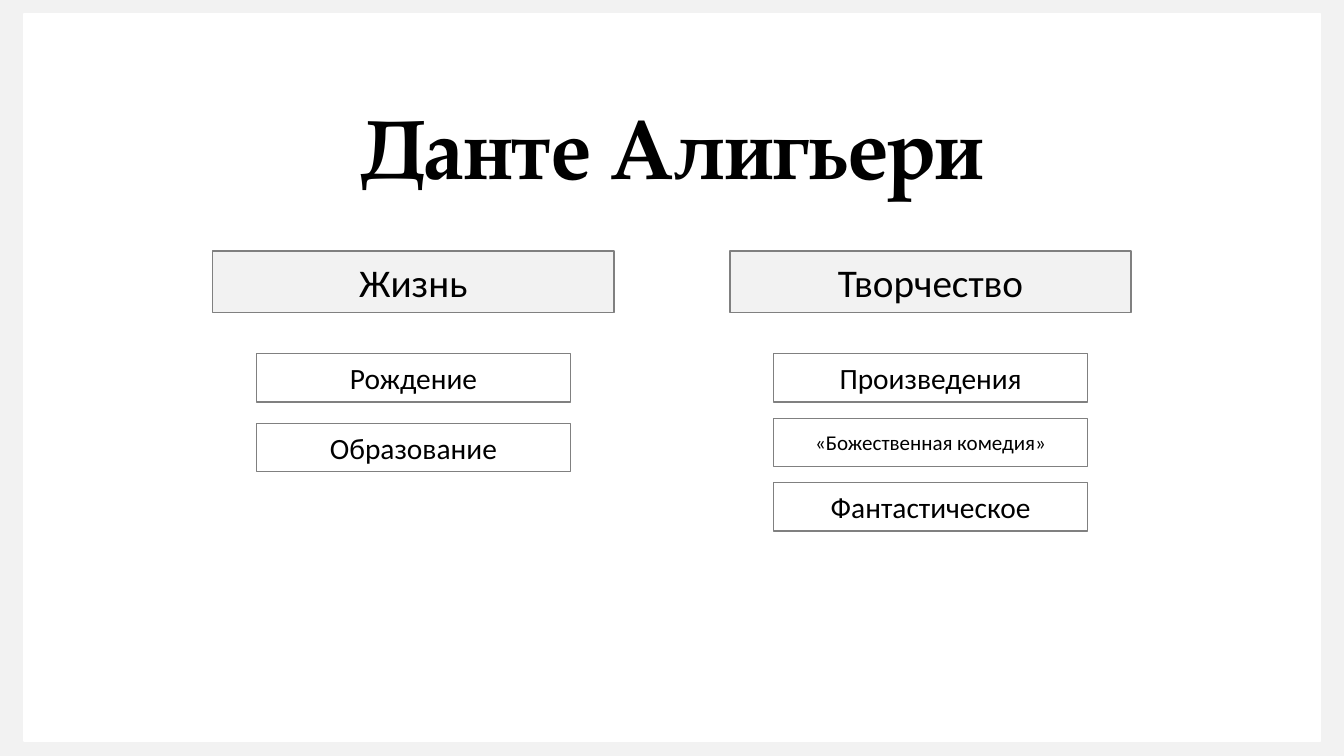
from pptx import Presentation
from pptx.dml.color import RGBColor
from pptx.enum.shapes import MSO_SHAPE
from pptx.enum.text import MSO_ANCHOR, PP_ALIGN
from pptx.util import Inches, Pt

COLORS = {"backdrop": "F2F2F2", "panel": "FFFFFF", "heading": "F2F2F2",
          "topic": "FFFFFF", "border": "808080", "ink": "000000"}
WIDTH, HEIGHT = 13.33, 7.5
MARGIN, COLUMN_WIDTH = 15.83, 29.86
SECTIONS = [
    ("Жизнь", 9.2, [("Рождение", 21), ("Образование", 21)]),
    ("Творчество", 8.53, [("Произведения", 21), ("«Божественная комедия»", 15),
                          ("Фантастическое", 21)]),
]


def color(role):
    """Return the colour that belongs to a role."""
    return RGBColor.from_string(COLORS[role])


def place(box):
    """Turn a box in percent of the slide into slide lengths."""
    return [Inches(share * side / 100)
            for share, side in zip(box, (WIDTH, HEIGHT) * 2)]


def write(holder, wording, anchor=MSO_ANCHOR.MIDDLE, spacing=1.0, **font_format):
    """Write one centred line of text with the given font format."""
    frame = holder.text_frame
    frame.word_wrap = True
    frame.vertical_anchor = anchor
    line = frame.paragraphs[0]
    line.alignment = PP_ALIGN.CENTER
    line.line_spacing = spacing
    run = line.add_run()
    run.text = wording
    run.font.color.rgb = color("ink")
    for key, value in font_format.items():
        setattr(run.font, key, value)


def add_block(slide, box, fill, border):
    """Draw a flat bordered rectangle."""
    block = slide.shapes.add_shape(MSO_SHAPE.RECTANGLE, *place(box))
    block.shadow.inherit = False
    block.fill.solid()
    block.fill.fore_color.rgb = color(fill)
    block.line.color.rgb = color(border)
    block.line.width = Pt(1)
    return block


def add_title(slide, box, wording):
    """Set the slide title at the bottom of its box."""
    title = slide.shapes.add_textbox(*place(box))
    write(title, wording, MSO_ANCHOR.BOTTOM, 0.9,
          size=Pt(60), name="TeX Gyre Pagella", bold=True)


def add_section(slide, box, heading, pitch, topics):
    """Place a heading over its narrower topics, one pitch apart."""
    left, top, width, height = box
    inset, topics_top, topic_height = 3.26, top + 13.6, 6.4
    write(add_block(slide, box, "heading", "border"), heading,
          size=Pt(28), name="Calibri")
    for row, (topic, size) in enumerate(topics):
        cell = (left + inset, topics_top + row * pitch,
                width - 2 * inset, topic_height)
        write(add_block(slide, cell, "topic", "border"), topic,
              size=Pt(size), name="Calibri")


def add_menu_slide(deck):
    """Build the contents slide: panel, title and mirrored sections."""
    slide = deck.slides.add_slide(deck.slide_layouts[6])
    slide.background.fill.solid()
    slide.background.fill.fore_color.rgb = color("backdrop")
    add_block(slide, (1.8, 1.87, 96.47, 96.13), "panel", "panel")
    add_title(slide, (12.5, 12.53, 75, 14.27), "Данте Алигьери")
    lefts = (MARGIN, 100 - MARGIN - COLUMN_WIDTH)
    for left, section in zip(lefts, SECTIONS):
        add_section(slide, (left, 33.2, COLUMN_WIDTH, 8.13), *section)


deck = Presentation()
deck.slide_width, deck.slide_height = Inches(WIDTH), Inches(HEIGHT)
add_menu_slide(deck)
deck.save("out.pptx")
